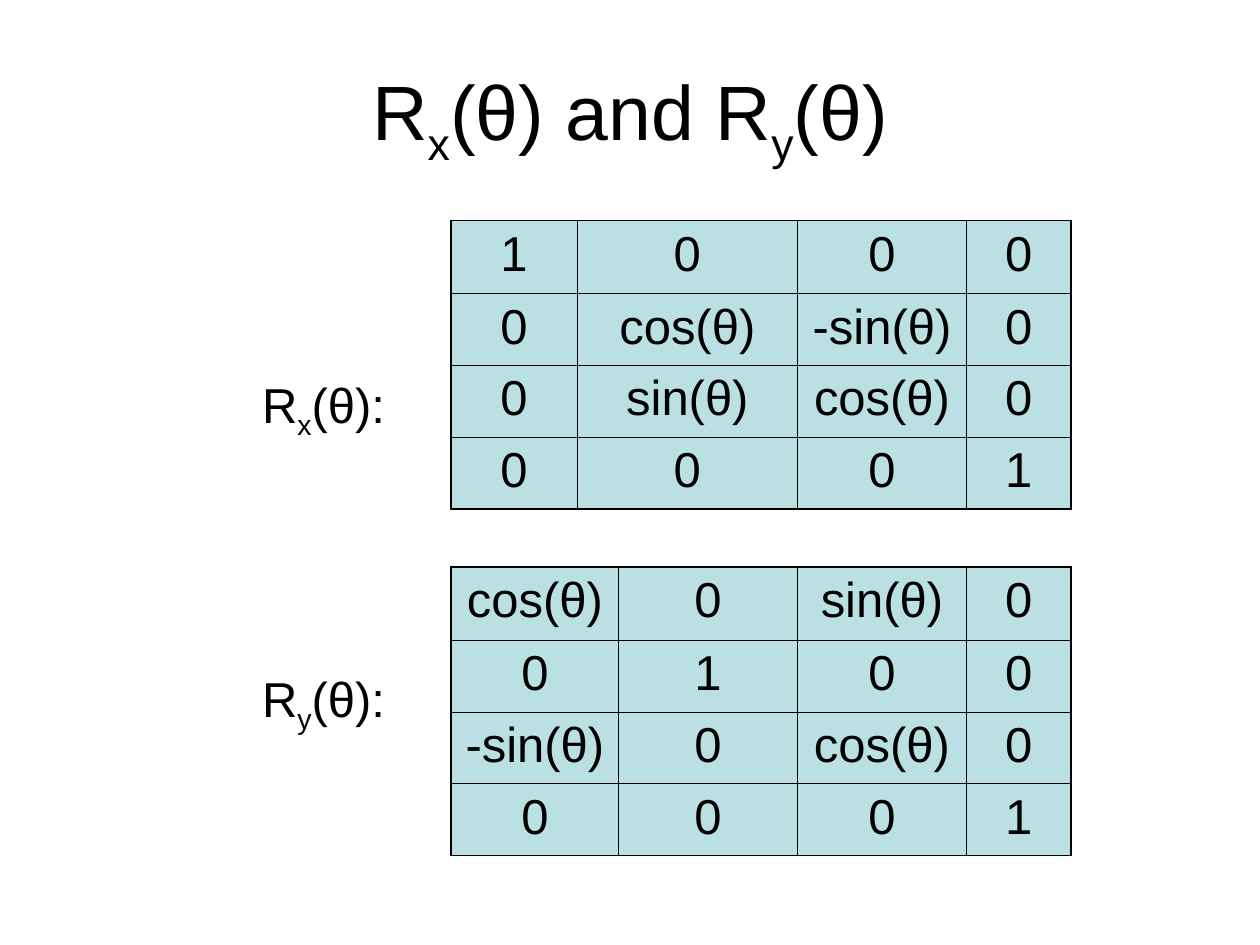
from lxml import etree
from pptx import Presentation
from pptx.dml.color import RGBColor
from pptx.enum.text import MSO_ANCHOR, PP_ALIGN
from pptx.oxml.ns import qn
from pptx.util import Inches, Pt

LEFT, CENTER = PP_ALIGN.LEFT, PP_ALIGN.CENTER
TOP, MIDDLE = MSO_ANCHOR.TOP, MSO_ANCHOR.MIDDLE
SUBSCRIPT = "-25000"


def color(hex_string):
    return RGBColor.from_string(hex_string)


class MatrixSlide:
    font = "Arial"
    ink = "000000"
    cell_fill = "BBE0E3"
    outer_line = 1.08
    inner_line = 0.45
    body_size = 28

    def __init__(self, slide):
        self.slide = slide

    def add_runs(self, paragraph, runs, size, align):
        paragraph.alignment = align
        for words, lowered in runs:
            run = paragraph.add_run()
            run.text = words
            run.font.size = Pt(size)
            run.font.name = self.font
            run.font.color.rgb = color(self.ink)
            if lowered:
                run._r.get_or_add_rPr().set("baseline", SUBSCRIPT)

    def text(self, place, lines, size, align, anchor=TOP, inset=(0.1, 0.05), gap=0):
        box = self.slide.shapes.add_textbox(*map(Inches, place))
        frame = box.text_frame
        frame.word_wrap = True
        frame.vertical_anchor = anchor
        frame.margin_left, frame.margin_top = map(Inches, inset)
        for index, runs in enumerate(lines):
            paragraph = frame.add_paragraph() if index else frame.paragraphs[0]
            if index:
                paragraph.space_before = Pt(gap)
            self.add_runs(paragraph, runs, size, align)

    def border(self, cell, side, width):
        properties = cell._tc.get_or_add_tcPr()
        line = etree.SubElement(properties, qn(f"a:ln{side}"), w=str(Pt(width)))
        fill = etree.SubElement(line, qn("a:solidFill"))
        etree.SubElement(fill, qn("a:srgbClr"), val=self.ink)

    def matrix(self, top, widths, heights, rows):
        frame = self.slide.shapes.add_table(
            len(rows), len(widths), Inches(3.58), Inches(top),
            Inches(sum(widths)), Inches(sum(heights)))
        table = frame.table
        table.first_row = table.horz_banding = False
        for column, width in zip(table.columns, widths):
            column.width = Inches(width)
        for row, height in zip(table.rows, heights):
            row.height = Inches(height)
        last_row, last_column = len(rows) - 1, len(widths) - 1
        for r, entries in enumerate(rows):
            for c, entry in enumerate(entries):
                cell = table.cell(r, c)
                edges = {"L": c == 0, "R": c == last_column,
                         "T": r == 0, "B": r == last_row}
                for side, outer in edges.items():
                    self.border(cell, side, self.outer_line if outer else self.inner_line)
                cell.fill.solid()
                cell.fill.fore_color.rgb = color(self.cell_fill)
                self.add_runs(cell.text_frame.paragraphs[0], [(entry, False)],
                              self.body_size, CENTER)


def main():
    deck = Presentation()
    deck.slide_width, deck.slide_height = Inches(10), Inches(7.5)
    page = MatrixSlide(deck.slides.add_slide(deck.slide_layouts[6]))

    heading = [("R", False), ("x", True), ("(θ) and R", False),
               ("y", True), ("(θ)", False)]
    page.text((0.5, 0.3, 9, 1.25), [heading], 44, CENTER, MIDDLE)

    labels = [[("R", False), (axis, True), ("(θ):", False)] for axis in "xy"]
    page.text((0.5, 1.75, 4.42, 4.95), labels, page.body_size, LEFT,
              inset=(1.58, 1.22), gap=130)

    heights = [0.58, 0.57, 0.57, 0.57]
    page.matrix(1.75, [1, 1.75, 1.34, 0.83], heights, [
        ["1", "0", "0", "0"],
        ["0", "cos(θ)", "-sin(θ)", "0"],
        ["0", "sin(θ)", "cos(θ)", "0"],
        ["0", "0", "0", "1"],
    ])
    page.matrix(4.5, [1.33, 1.42, 1.34, 0.83], heights, [
        ["cos(θ)", "0", "sin(θ)", "0"],
        ["0", "1", "0", "0"],
        ["-sin(θ)", "0", "cos(θ)", "0"],
        ["0", "0", "0", "1"],
    ])
    deck.save("out.pptx")


if __name__ == "__main__":
    main()
